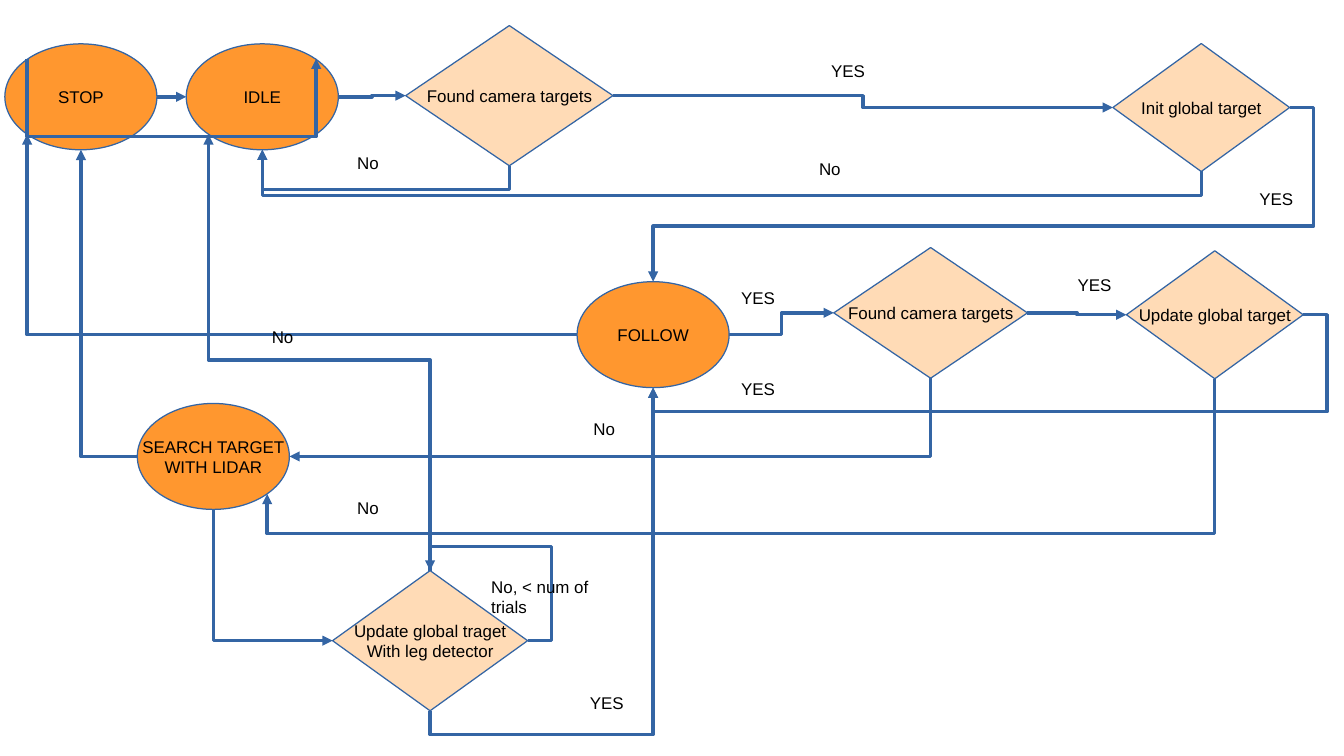
from lxml.etree import SubElement
from pptx import Presentation
from pptx.dml.color import RGBColor
from pptx.enum.shapes import MSO_CONNECTOR, MSO_SHAPE
from pptx.enum.text import MSO_ANCHOR, PP_ALIGN
from pptx.oxml.ns import qn
from pptx.util import Pt

ORANGE = RGBColor(0xFF, 0x97, 0x2F)
PEACH = RGBColor(0xFF, 0xDB, 0xB6)
BLUE = RGBColor(0x34, 0x65, 0xA4)
BLACK = RGBColor(0x00, 0x00, 0x00)

SLIDE_SIZE = (793.7, 446.5)
STATE_SIZE = (89.8, 62.6)
LABEL_SIZE = (34.6, 18)
STUB = 14.2  # distance a line runs clear of a node before it turns

# Places on a node, as fractions of its width and height
LEFT, RIGHT, TOP, BOTTOM = (0, 0.5), (1, 0.5), (0.5, 0), (0.5, 1)
UPPER_LEFT, UPPER_RIGHT = (0.146, 0.146), (0.854, 0.146)
LOWER_LEFT, LOWER_RIGHT = (0.146, 0.854), (0.854, 0.854)

STATES = {
    "stop": ("STOP", 2.9, 25.9),
    "idle": ("IDLE", 110, 25.9),
    "follow": ("FOLLOW", 340.8, 166.4),
    "search": ("SEARCH TARGET\nWITH LIDAR", 81.1, 238.3),
}
DECISIONS = {
    "found": ("Found camera targets", 239.6, 15.1, 122.4, 82.8),
    "init": ("Init global target", 657.2, 25.7, 104.4, 75.6),
    "found again": ("Found camera targets", 492.4, 146.2, 114.4, 77.2),
    "update": ("Update global target", 665.2, 148.1, 104.4, 75.6),
    "legs": ("Update global traget\nWith leg detector", 196.4, 337, 115.2, 82.8),
}
LABELS = [
    ("YES", 483.8, 32.4), ("YES", 736.6, 108), ("YES", 629.3, 158.4),
    ("YES", 430.6, 220.3), ("YES", 341.3, 405.4), ("YES", 430.6, 166.3),
    ("No", 203.8, 86.4), ("No", 476.6, 90), ("No", 343.4, 243.4),
    ("No", 203.8, 290.2), ("No", 153.4, 189.4),
    ("No, < num of trials", 283, 337, 86.4, 29.5),
]


def write_text(shape, text, size=10, align=PP_ALIGN.LEFT, anchor=MSO_ANCHOR.TOP, wrap=True):
    frame = shape.text_frame
    frame.word_wrap = wrap
    frame.vertical_anchor = anchor
    frame.margin_left = frame.margin_right = Pt(7.2)
    frame.margin_top = frame.margin_bottom = Pt(3.6)
    frame.text = text
    for paragraph in frame.paragraphs:
        paragraph.alignment = align
        paragraph.font.size = Pt(size)
        paragraph.font.name = "Arial"
        paragraph.font.color.rgb = BLACK


def add_node(slide, kind, fill, text, left, top, width, height):
    shape = slide.shapes.add_shape(kind, Pt(left), Pt(top), Pt(width), Pt(height))
    shape.shadow.inherit = False
    shape.fill.solid()
    shape.fill.fore_color.rgb = fill
    shape.line.color.rgb = BLUE
    shape.line.width = Pt(0)
    write_text(shape, text, align=PP_ALIGN.CENTER, anchor=MSO_ANCHOR.MIDDLE, wrap=False)
    return shape


def site(shape, place):
    return (shape.left.pt + shape.width.pt * place[0],
            shape.top.pt + shape.height.pt * place[1])


def style_arrow(connector):
    connector.line.color.rgb = BLUE
    connector.line.width = Pt(0)
    SubElement(connector.line._get_or_add_ln(), qn("a:tailEnd"), type="triangle")
    SubElement(connector._element.spPr, qn("a:effectLst"))


def add_straight_arrow(slide, start, end):
    points = [Pt(value) for value in (*start, *end)]
    style_arrow(slide.shapes.add_connector(MSO_CONNECTOR.STRAIGHT, *points))


def add_bent_arrow(slide, start, end, *bends, vertical=False):
    """Bends are the x and y positions, in turn, where the line changes direction."""
    (start_x, start_y), (end_x, end_y) = start, end
    run, rise = end_x - start_x, end_y - start_y
    if vertical:  # the first stretch runs up or down: turn the preset a quarter
        width, height = abs(rise), abs(run)
        turn = 90 if run * rise < 0 else 270
        flip_h = (rise < 0) == (turn == 90)
        flip_v = (run > 0) == (turn == 90)
        spans = [(start_y, rise), (start_x, run)]
    else:
        width, height = abs(run), abs(rise)
        turn = 180 if run < 0 and rise < 0 and not bends else 0
        flip_h, flip_v = (run < 0 and not turn), (rise < 0 and not turn)
        spans = [(start_x, run), (start_y, rise)]

    connector = slide.shapes.add_connector(MSO_CONNECTOR.ELBOW, 0, 0, 0, 0)
    connector.left = Pt((start_x + end_x - width) / 2)
    connector.top = Pt((start_y + end_y - height) / 2)
    connector.width, connector.height = Pt(width), Pt(height)
    transform = connector._element.spPr.find(qn("a:xfrm"))
    for name, value in (("rot", turn * 60000), ("flipH", int(flip_h)), ("flipV", int(flip_v))):
        if value:
            transform.set(name, str(value))

    geometry = connector._element.spPr.find(qn("a:prstGeom"))
    geometry.set("prst", f"bentConnector{len(bends) + 2}")
    adjustments = geometry.find(qn("a:avLst"))
    for number, (bend, (origin, span)) in enumerate(zip(bends, spans), 1):
        ratio = round((bend - origin) / span * 100000)
        SubElement(adjustments, qn("a:gd"), name=f"adj{number}" if len(bends) > 1 else "adj1",
                   fmla=f"val {ratio}")
    style_arrow(connector)


def draw_nodes(slide, left, top):
    nodes = {}
    for name, (text, x, y) in STATES.items():
        nodes[name] = add_node(slide, MSO_SHAPE.OVAL, ORANGE, text, left + x, top + y, *STATE_SIZE)
    for name, (text, x, y, width, height) in DECISIONS.items():
        nodes[name] = add_node(slide, MSO_SHAPE.FLOWCHART_DECISION, PEACH, text,
                               left + x, top + y, width, height)
    return nodes


def draw_arrows(slide, nodes, left, top):
    def link(source, source_place, target, target_place, *bends, vertical=False):
        add_bent_arrow(slide, site(nodes[source], source_place),
                       site(nodes[target], target_place), *bends, vertical=vertical)

    def beyond(name, place):
        x, y = site(nodes[name], place)
        return x + STUB * (2 * place[0] - 1), y + STUB * (2 * place[1] - 1)

    # Steps to the right, turning halfway
    for source, target in (("idle", "found"), ("found", "init"),
                           ("follow", "found again"), ("found again", "update")):
        middle = (site(nodes[source], RIGHT)[0] + site(nodes[target], LEFT)[0]) / 2
        link(source, RIGHT, target, LEFT, middle)
    add_straight_arrow(slide, site(nodes["stop"], RIGHT), site(nodes["idle"], LEFT))

    # Back to idle
    for source in ("found", "init"):
        link(source, BOTTOM, "idle", BOTTOM, beyond(source, BOTTOM)[1], vertical=True)
    link("legs", TOP, "idle", LOWER_LEFT, top + 212.6, vertical=True)
    link("stop", UPPER_LEFT, "idle", (0.854, 0.14), top + 81.6, vertical=True)

    # Into follow
    link("init", RIGHT, "follow", TOP, beyond("init", RIGHT)[0], top + 133.6)
    link("update", RIGHT, "follow", BOTTOM, beyond("update", RIGHT)[0],
         beyond("follow", BOTTOM)[1])
    link("legs", BOTTOM, "follow", BOTTOM, beyond("legs", BOTTOM)[1], vertical=True)

    # Into search and the leg detector
    link("found again", BOTTOM, "search", RIGHT, vertical=True)
    link("update", BOTTOM, "search", LOWER_RIGHT, top + 315.2, vertical=True)
    link("search", BOTTOM, "legs", LEFT, vertical=True)
    link("legs", RIGHT, "legs", TOP, beyond("legs", RIGHT)[0], beyond("legs", TOP)[1])

    # Into stop
    link("follow", LEFT, "stop", LOWER_LEFT)
    link("search", LEFT, "stop", BOTTOM)


def draw_labels(slide, left, top):
    for text, x, y, *size in LABELS:
        width, height = size or LABEL_SIZE
        box = slide.shapes.add_textbox(Pt(left + x), Pt(top + y), Pt(width), Pt(height))
        write_text(box, text)


def draw_flowchart(slide, left, top):
    nodes = draw_nodes(slide, left, top)
    draw_arrows(slide, nodes, left, top)
    draw_labels(slide, left, top)


def main():
    presentation = Presentation()
    presentation.slide_width, presentation.slide_height = map(Pt, SLIDE_SIZE)
    slide = presentation.slides.add_slide(presentation.slide_layouts[6])
    draw_flowchart(slide, 0, 0)
    presentation.save("out.pptx")


if __name__ == "__main__":
    main()
